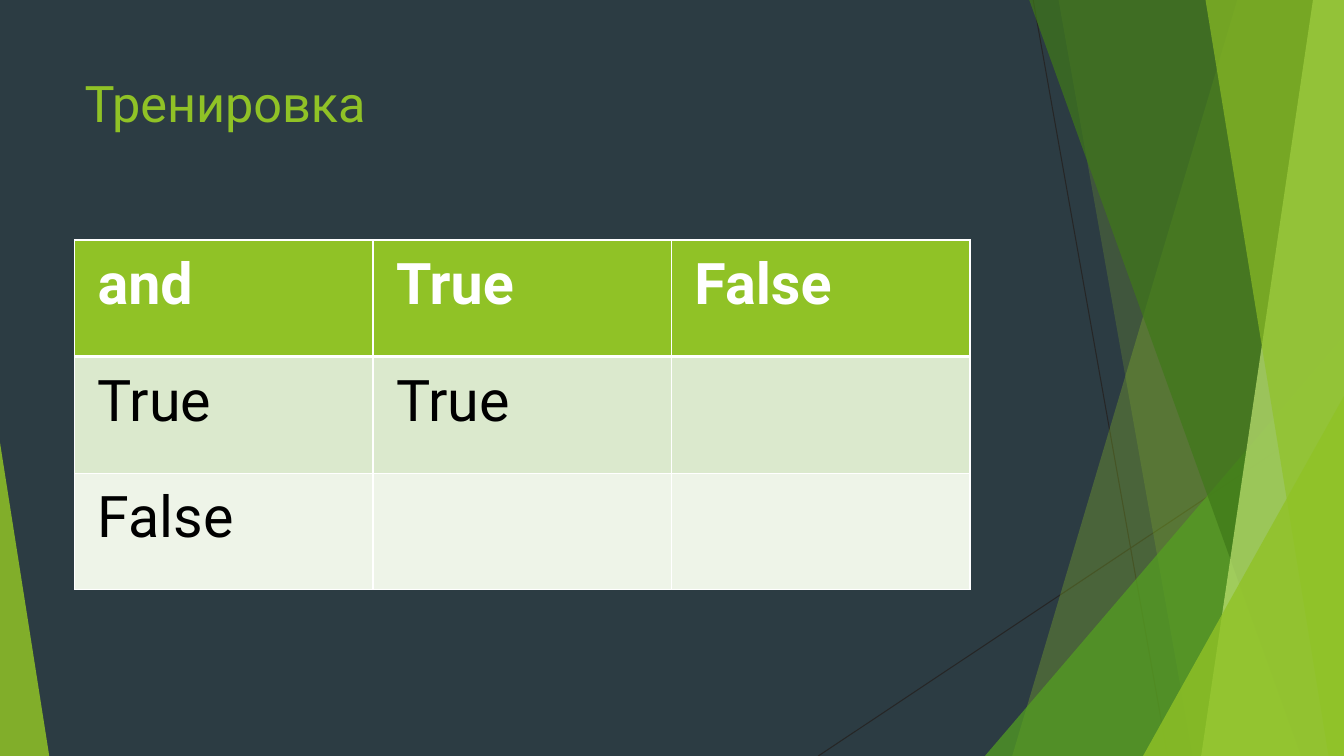
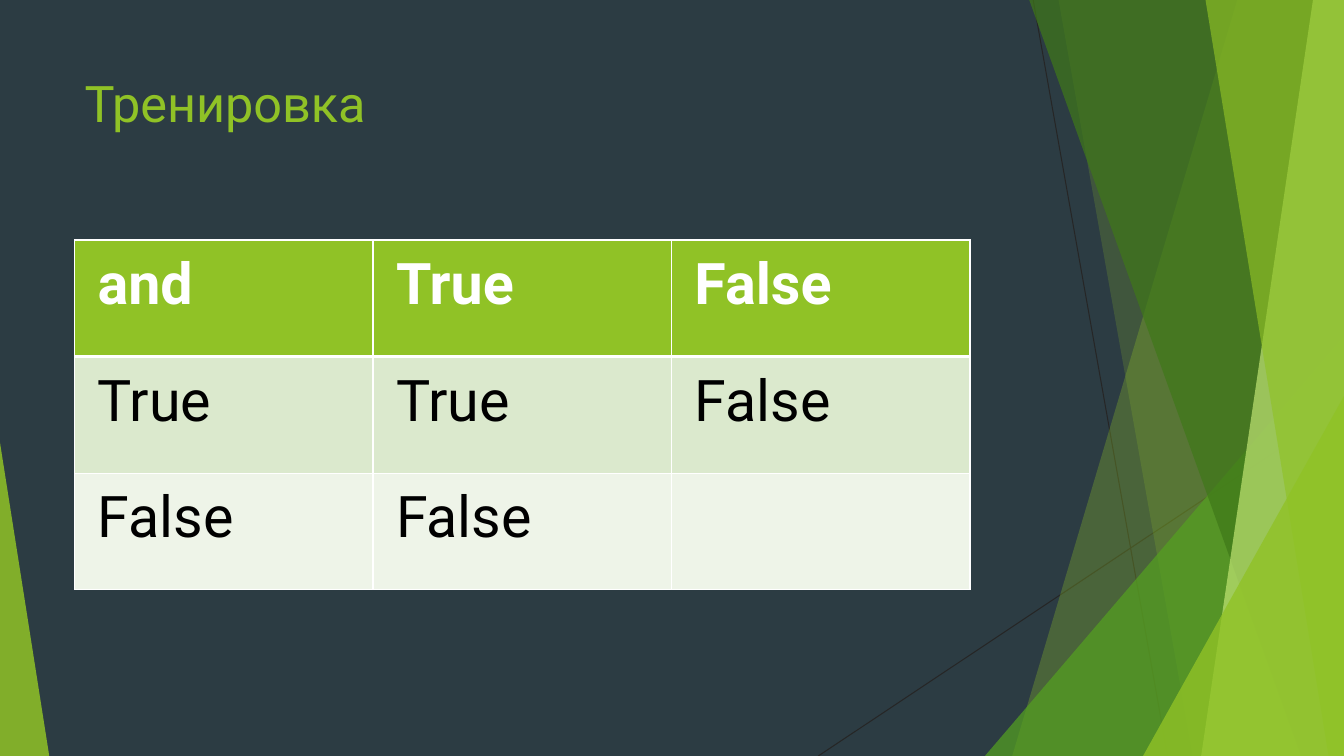
from lxml import etree
from pptx import Presentation
from pptx.dml.color import RGBColor
from pptx.enum.shapes import MSO_CONNECTOR, MSO_SHAPE
from pptx.enum.text import MSO_ANCHOR, MSO_AUTO_SIZE, PP_ALIGN
from pptx.oxml.ns import qn
from pptx.util import Pt

STRAIGHT = MSO_CONNECTOR.STRAIGHT
TRIANGLE = MSO_SHAPE.ISOSCELES_TRIANGLE
TOP, LEFT, NO_FIT = MSO_ANCHOR.TOP, PP_ALIGN.LEFT, MSO_AUTO_SIZE.NONE

WIDTH, HEIGHT = 960, 540
FONT = "Roboto"
SLATE, LIME, GREEN, FOREST, PALE = "2C3C43", "90C226", "54A021", "3F7819", "C0E474"
WHITE, BLACK, CHARCOAL = "FFFFFF", "000000", "262626"
ROW_FILLS = [LIME, "DBE9CD", "EEF4E8"]

SLIDE_BOX = (0, 0, WIDTH, HEIGHT)
TITLE_BOX = (53.3, 48, 676.8, 104)
TABLE_BOX = (53.3, 171.4, 639.6, 250)

TITLE_STYLE = {"size": Pt(36), "name": FONT, "bold": False}
HEAD_STYLE = {"size": Pt(41), "name": FONT, "bold": True}
BODY_STYLE = {"size": Pt(41), "name": FONT, "bold": False}
CELL_FORMAT = {"margin_left": Pt(16.4), "margin_right": Pt(16.4),
               "margin_top": Pt(8.2), "margin_bottom": Pt(8.2),
               "vertical_anchor": TOP}

RAYS = [(738, 0, 834, 540), (960, 290, 584.5, 540)]
# Each band is (top x, bottom x); each wedge is (left, top, width, apex).
FACETS = [
    ("band", (884, 723), LIME, 30),
    ("band", (756, 852), LIME, 20),
    ("wedge", (703.5, 240, 256.5, 1), GREEN, 72),
    ("band", (735, 929.5), FOREST, 70),
    ("band", (938, 858), PALE, 70),
    ("band", (861, 949), LIME, 65),
    ("wedge", (816.5, 283, 143.5, 1), LIME, 80),
    ("wedge", (0, 316, 35.2, 0), LIME, 85),
]

TITLE = "Тренировка"
TABLES = [
    [["and", "True", "False"], ["True", "True", ""], ["False", "", ""]],
    [["and", "True", "False"], ["True", "True", "False"], ["False", "False", ""]],
]


def rgb(value):
    """Turn a hex string into a colour."""
    return RGBColor.from_string(value)


def set_all(target, values):
    """Set every attribute in a dict of format values."""
    for name, value in values.items():
        setattr(target, name, value)


def write(p, text, style, color):
    """Write one formatted run into a paragraph."""
    r = p.add_run()
    r.text = text
    set_all(r.font, style)
    r.font.color.rgb = rgb(color)


def paint(sp, color, opacity):
    """Give a shape a translucent fill without line or shadow."""
    sp.shadow.inherit = False
    sp.fill.solid()
    sp.fill.fore_color.rgb = rgb(color)
    clr = next(sp._element.spPr.iter(qn("a:srgbClr")))
    etree.SubElement(clr, qn("a:alpha"), val=str(opacity * 1000))
    sp.line.fill.background()


def add_ray(s, x1, y1, x2, y2):
    """Draw one thin straight line."""
    sp = s.shapes.add_connector(STRAIGHT, Pt(x1), Pt(y1), Pt(x2), Pt(y2))
    sp.line.color.rgb = rgb(CHARCOAL)
    sp.line.width = Pt(0.75)
    etree.SubElement(sp._element.spPr, qn("a:effectLst"))


def add_band(s, box, top_x, bottom_x):
    """Outline a band from a slanted edge to the right side of the box."""
    x, y, w, h = box
    top, right, bottom = Pt(y - 0.6), Pt(x + w), Pt(y + h)
    builder = s.shapes.build_freeform(Pt(x + top_x), top)
    builder.add_line_segments(
        [(right, top), (right, bottom), (Pt(x + bottom_x), bottom)], close=True)
    return builder.convert_to_shape()


def add_wedge(s, box, left, top, width, apex):
    """Stand a right triangle on the bottom of the box."""
    x, y, _, h = box
    sp = s.shapes.add_shape(TRIANGLE, Pt(x + left), Pt(y + top), Pt(width), Pt(h - top))
    sp.adjustments[0] = apex
    return sp


def add_backdrop(s, box):
    """Draw the rays and the green facets."""
    x, y = box[:2]
    for x1, y1, x2, y2 in RAYS:
        add_ray(s, x + x1, y + y1, x + x2, y + y2)
    makers = {"band": add_band, "wedge": add_wedge}
    for kind, geometry, color, opacity in FACETS:
        paint(makers[kind](s, box, *geometry), color, opacity)


def add_title(s, box, text):
    """Place and format the title placeholder."""
    sp = s.shapes.title
    set_all(sp, dict(zip(("left", "top", "width", "height"), map(Pt, box))))
    tf = sp.text_frame
    set_all(tf, {"word_wrap": True, "auto_size": NO_FIT, "vertical_anchor": TOP})
    p = tf.paragraphs[0]
    p.alignment = LEFT
    write(p, text, TITLE_STYLE, LIME)


def set_borders(cell, widths):
    """Draw white cell borders, given widths for left, right, top and bottom."""
    tc_pr = cell._tc.get_or_add_tcPr()
    for i, (side, width) in enumerate(zip("LRTB", widths)):
        ln = etree.Element(qn(f"a:ln{side}"), w=str(Pt(width)))
        fill = etree.SubElement(ln, qn("a:solidFill"))
        etree.SubElement(fill, qn("a:srgbClr"), val=WHITE)
        tc_pr.insert(i, ln)


def add_truth_table(s, box, rows):
    """Fill a table whose first row is the header."""
    table = s.shapes.add_table(len(rows), len(rows[0]), *map(Pt, box)).table
    table.horz_banding = False
    for i, row in enumerate(rows):
        style, color = (BODY_STYLE, BLACK) if i else (HEAD_STYLE, WHITE)
        widths = (1, 1, 3 if i == 1 else 1, 1 if i else 3)
        for j, text in enumerate(row):
            cell = table.cell(i, j)
            set_all(cell, CELL_FORMAT)
            cell.fill.solid()
            cell.fill.fore_color.rgb = rgb(ROW_FILLS[i])
            set_borders(cell, widths)
            if text:
                write(cell.text_frame.paragraphs[0], text, style, color)


def add_training_slide(prs, rows):
    """Add a slide with the backdrop, the title and a truth table."""
    s = prs.slides.add_slide(prs.slide_layouts[5])
    add_backdrop(s, SLIDE_BOX)
    add_title(s, TITLE_BOX, TITLE)
    add_truth_table(s, TABLE_BOX, rows)


def main():
    """Build and save the presentation."""
    prs = Presentation()
    prs.slide_width, prs.slide_height = Pt(WIDTH), Pt(HEIGHT)
    background = prs.slide_master.background.fill
    background.solid()
    background.fore_color.rgb = rgb(SLATE)
    for rows in TABLES:
        add_training_slide(prs, rows)
    prs.save("out.pptx")


main()
